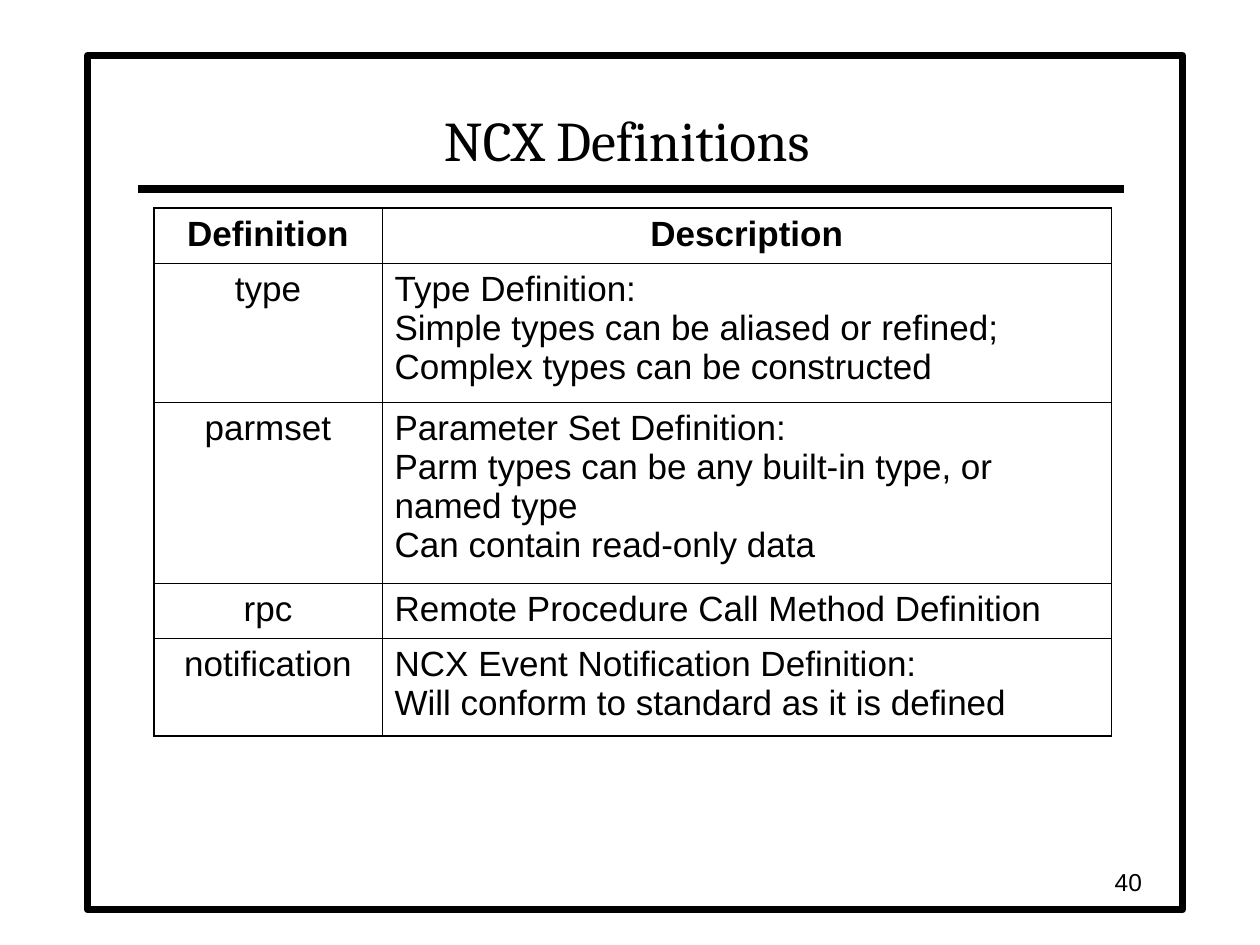
from lxml.etree import SubElement
from pptx import Presentation
from pptx.dml.color import RGBColor
from pptx.enum.shapes import MSO_CONNECTOR, MSO_SHAPE
from pptx.enum.text import MSO_ANCHOR, MSO_AUTO_SIZE, PP_ALIGN
from pptx.oxml import parse_xml
from pptx.oxml.ns import nsdecls, qn
from pptx.util import Pt

BLACK = RGBColor(0, 0, 0)
WHITE = RGBColor(255, 255, 255)
OUTER, INNER = 1.08, 0.45
COLS = [130.3, 416.9]
HEIGHTS = [31.4, 79.4, 103.6, 31.6, 55.6]
ROWS = [
    ("Definition", "Description"),
    ("type", "Type Definition:\n"
             "Simple types can be aliased or refined; Complex types can be constructed"),
    ("parmset", "Parameter Set Definition:\n"
                "Parm types can be any built-in type, or named type\n"
                "Can contain read-only data"),
    ("rpc", "Remote Procedure Call Method Definition"),
    ("notification", "NCX Event Notification Definition:\n"
                     "Will conform to standard as it is defined"),
]


def write(tf, text, size=20, font="Arial", bold=False, align=PP_ALIGN.LEFT,
          anchor=MSO_ANCHOR.TOP):
    """Fill a text frame with one formatted paragraph."""
    tf.word_wrap = True
    tf.vertical_anchor = anchor
    p = tf.paragraphs[0]
    p.text = text
    p.alignment = align
    for r in p.runs:
        r.font.size = Pt(size)
        r.font.name = font
        r.font.bold = bold
        r.font.color.rgb = BLACK


def add_frame(slide, x, y, w, h):
    """Draw the slide border and the rule under the title."""
    sp = slide.shapes.add_shape(MSO_SHAPE.RECTANGLE, Pt(x), Pt(y), Pt(w), Pt(h))
    sp.shadow.inherit = False
    sp.fill.solid()
    sp.fill.fore_color.rgb = WHITE
    sp.line.color.rgb = BLACK
    sp.line.width = Pt(4)
    rule_y = Pt(y + 76.3)
    rule = slide.shapes.add_connector(
        MSO_CONNECTOR.STRAIGHT, Pt(x + 28.8), rule_y, Pt(x + w - 33.4), rule_y)
    rule.line.color.rgb = BLACK
    rule.line.width = Pt(4.5)
    SubElement(rule._element.spPr, qn("a:effectLst"))


def add_title(slide, text, x, y, w, h):
    """Place the title placeholder in front of the frame."""
    sp = slide.shapes.title
    sp._element.getparent().append(sp._element)
    sp.left, sp.top, sp.width, sp.height = Pt(x), Pt(y), Pt(w), Pt(h)
    write(sp.text_frame, text, size=32, font="Cambria", align=PP_ALIGN.CENTER,
          anchor=MSO_ANCHOR.BOTTOM)
    sp.text_frame.auto_size = MSO_AUTO_SIZE.NONE


def set_borders(cell, **widths):
    """Give each named side of a cell a black line of the given width."""
    tc_pr = cell._tc.get_or_add_tcPr()
    for i, (side, width) in enumerate(widths.items()):
        tc_pr.insert(i, parse_xml(
            f'<a:ln{side} {nsdecls("a")} w="{Pt(width)}"><a:solidFill>'
            f'<a:srgbClr val="{BLACK}"/></a:solidFill></a:ln{side}>'))


def add_definitions(slide, x, y):
    """Build the table of definitions with a heavier outer border."""
    table = slide.shapes.add_table(
        len(ROWS), len(COLS), Pt(x), Pt(y), Pt(sum(COLS)), Pt(sum(HEIGHTS))).table
    table.first_row = table.horz_banding = False
    for col, width in zip(table.columns, COLS):
        col.width = Pt(width)
    last_row, last_col = len(ROWS) - 1, len(COLS) - 1
    for i, texts in enumerate(ROWS):
        table.rows[i].height = Pt(HEIGHTS[i])
        for j, text in enumerate(texts):
            cell = table.cell(i, j)
            cell.fill.background()
            centred = i == 0 or j == 0
            write(cell.text_frame, text, bold=i == 0,
                  align=PP_ALIGN.CENTER if centred else PP_ALIGN.LEFT)
            set_borders(cell,
                        L=OUTER if j == 0 else INNER,
                        R=OUTER if j == last_col else INNER,
                        T=OUTER if i == 0 else INNER,
                        B=OUTER if i == last_row else INNER)


def add_page_number(slide, text, x, y, w, h):
    """Write the page number at the right of its box."""
    box = slide.shapes.add_textbox(Pt(x), Pt(y), Pt(w), Pt(h))
    write(box.text_frame, text, size=14, align=PP_ALIGN.RIGHT,
          anchor=MSO_ANCHOR.MIDDLE)


def main():
    """Build and save the slide."""
    prs = Presentation()
    prs.slide_width, prs.slide_height = Pt(720), Pt(540)
    slide = prs.slides.add_slide(prs.slide_layouts[5])
    add_frame(slide, 50, 31.7, 625.7, 488.2)
    add_title(slide, "NCX Definitions", 77.8, 36, 560.9, 66.2)
    add_definitions(slide, 88, 119)
    add_page_number(slide, "40", 509.8, 491.8, 149.8, 23.8)
    prs.save("out.pptx")


if __name__ == "__main__":
    main()
